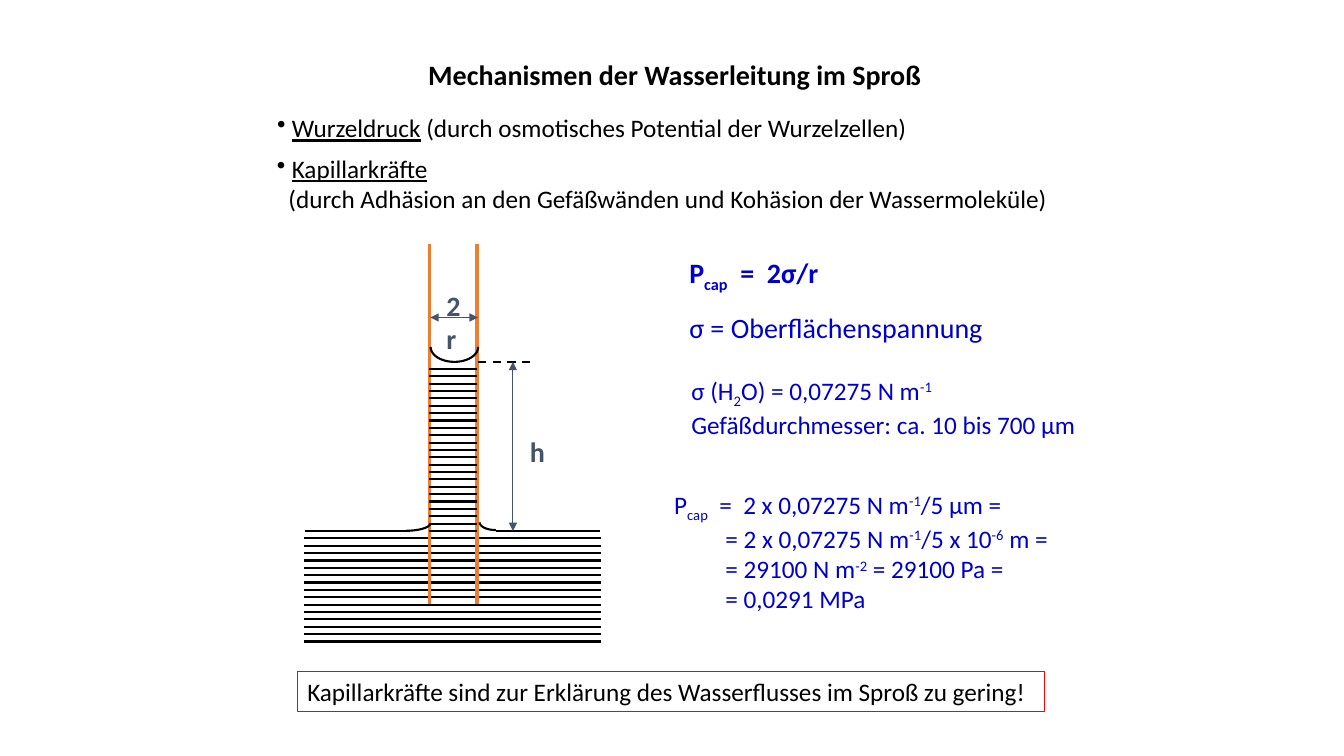
"""Build the slide on water transport in the shoot with its capillary diagram."""
from dataclasses import dataclass
from math import cos, radians, sin

from lxml.etree import SubElement
from pptx import Presentation
from pptx.dml.color import RGBColor as Rgb
from pptx.enum.dml import MSO_LINE_DASH_STYLE as Dash
from pptx.enum.shapes import MSO_CONNECTOR as Connector
from pptx.oxml.ns import qn
from pptx.util import Pt


@dataclass(frozen=True)
class Theme:
    """Colours, font and sizes of the slide."""
    ink: Rgb = Rgb(0, 0, 0)
    formula: Rgb = Rgb(0, 0, 0xCC)
    measure: Rgb = Rgb(0x44, 0x54, 0x6A)
    tube: Rgb = Rgb(0xED, 0x7D, 0x31)
    frame: Rgb = Rgb(0xFF, 0, 0)
    font: str = "Calibri"
    large: float = 20
    body: float = 18
    thin: float = 0.75
    medium: float = 1.5
    thick: float = 2.5


THEME = Theme()


@dataclass(frozen=True)
class Span:
    """A piece of text, with its baseline shift in percent."""
    text: str
    baseline: int = 0
    underline: bool = False


@dataclass(frozen=True)
class Para:
    """A paragraph and its layout."""
    spans: tuple[Span, ...]
    bold: bool = False
    bullet: bool = False
    indent: float = 0
    before: float = 0


@dataclass(frozen=True)
class TextBox:
    """A block of text at a place on the page."""
    left: float
    top: float
    width: float
    height: float
    paras: tuple[Para, ...]
    size: float = THEME.body
    color: Rgb = THEME.ink
    framed: bool = False


@dataclass(frozen=True)
class Stroke:
    """A straight line."""
    x1: float
    y1: float
    x2: float
    y2: float
    color: Rgb = THEME.ink
    width: float = THEME.medium
    arrows: bool = False
    dashed: bool = False


@dataclass(frozen=True)
class Arc:
    """Part of an ellipse, with angles in degrees clockwise from the right."""
    x: float
    y: float
    radius_x: float
    radius_y: float
    start: float
    end: float


def line(*spans: Span | str, **layout) -> Para:
    """Make a paragraph from plain and formatted pieces."""
    return Para(tuple(Span(s) if isinstance(s, str) else s for s in spans), **layout)


def draw_text(page, item: TextBox) -> None:
    """Add a text box to the page."""
    box = page.shapes.add_textbox(*map(Pt, (item.left, item.top, item.width, item.height)))
    if item.framed:
        box.line.color.rgb = THEME.frame
        box.line.width = Pt(THEME.thin)
    frame = box.text_frame
    frame.word_wrap = True
    for index, content in enumerate(item.paras):
        para = frame.add_paragraph() if index else frame.paragraphs[0]
        if content.indent:
            props = para._p.get_or_add_pPr()
            props.set("marL", str(Pt(content.indent)))
            props.set("indent", str(-Pt(content.indent) if content.bullet else 0))
        if content.before:
            para.space_before = Pt(content.before)
        if content.bullet:
            SubElement(para._p.get_or_add_pPr(), qn("a:buChar")).set("char", "•")
        font = para.font
        font.name, font.size, font.bold = THEME.font, Pt(item.size), content.bold
        font.color.rgb = item.color
        for span in content.spans:
            run = para.add_run()
            run.text = span.text
            if span.underline:
                run.font.underline = True
            if span.baseline:
                run._r.get_or_add_rPr().set("baseline", str(span.baseline * 1000))


def draw_stroke(page, item: Stroke) -> None:
    """Add a straight line to the page."""
    ends = map(Pt, (item.x1, item.y1, item.x2, item.y2))
    stroke = page.shapes.add_connector(Connector.STRAIGHT, *ends)
    stroke.line.color.rgb = item.color
    stroke.line.width = Pt(item.width)
    if item.dashed:
        stroke.line.dash_style = Dash.DASH
    if item.arrows:
        for tag in ("a:headEnd", "a:tailEnd"):
            SubElement(stroke.line._get_or_add_ln(), qn(tag)).set("type", "triangle")
    SubElement(stroke._element.spPr, qn("a:effectLst"))


def draw_arc(page, item: Arc, steps: int = 24) -> None:
    """Add an open elliptical curve to the page."""
    angles = [radians(item.start + (item.end - item.start) * i / steps) for i in range(steps + 1)]
    points = [(Pt(item.x + item.radius_x * cos(a)), Pt(item.y + item.radius_y * sin(a)))
              for a in angles]
    builder = page.shapes.build_freeform(*points[0])
    builder.add_line_segments(points[1:], close=False)
    curve = builder.convert_to_shape()
    curve.shadow.inherit = False
    curve.fill.background()
    curve.line.color.rgb = THEME.ink
    curve.line.width = Pt(THEME.medium)


TUBE_LEFT, TUBE_RIGHT, TUBE_TOP, TUBE_BOTTOM = 306.7, 340.6, 174.2, 431.3
BASIN_LEFT, BASIN_RIGHT = 217.4, 429.1
SURFACE, WATER_STEP, COLUMN_TOP = 379.3, 5.26, 258.5
BASIN_ROWS, TUBE_ROWS = 15, 23

STROKES = (
    *(Stroke(BASIN_LEFT, SURFACE + WATER_STEP * row, BASIN_RIGHT, SURFACE + WATER_STEP * row)
      for row in range(1, BASIN_ROWS + 1)),
    *(Stroke(x, TUBE_TOP, x, TUBE_BOTTOM, THEME.tube, THEME.thick)
      for x in (TUBE_LEFT, TUBE_RIGHT)),
    *(Stroke(TUBE_LEFT, SURFACE - WATER_STEP * row, TUBE_RIGHT, SURFACE - WATER_STEP * row)
      for row in range(TUBE_ROWS)),
    Stroke(BASIN_LEFT + 0.7, SURFACE, 293, SURFACE),
    Stroke(354.2, SURFACE, BASIN_RIGHT - 0.7, SURFACE),
    Stroke(307.4, 226.8, 341.3, 226.8, THEME.measure, THEME.thin, arrows=True),
    Stroke(341.3, COLUMN_TOP, 381.6, COLUMN_TOP, dashed=True),
    Stroke(366.4, COLUMN_TOP, 366.4, SURFACE, THEME.measure, THEME.thin, arrows=True),
)

ARCS = (
    Arc(290.2, 373.7, 17.2, 5.4, 90, 0),
    Arc(354.2, 373.2, 11.5, 5.4, 90, 180),
    Arc(324.6, 247.8, 17, 10.7, 0, 180),
)

CAP, MINUS_ONE = Span("cap", -25), Span("-1", 30)
BULLET_INDENT, SUM_INDENT, GAP = 10.6, 36.6, 12

TEXTS = (
    TextBox(298.8, 37.4, 370, 31.7,
            (line("Mechanismen der Wasserleitung im Sproß", bold=True),), THEME.large),
    TextBox(190.8, 77, 469.4, 28.8,
            (line(Span("Wurzeldruck", underline=True),
                  " (durch osmotisches Potential der Wurzelzellen)",
                  bullet=True, indent=BULLET_INDENT),)),
    TextBox(190.8, 105.8, 623.5, 51.1,
            (line(Span("Kapillarkräfte", underline=True), bullet=True, indent=BULLET_INDENT),
             line("(durch Adhäsion an den Gefäßwänden und Kohäsion der Wassermoleküle)",
                  indent=8.2))),
    TextBox(311.8, 202.3, 28.8, 55.4, (line("2r", bold=True),), THEME.large, THEME.measure),
    TextBox(371.5, 306.7, 28.8, 31.7, (line("h", bold=True),), THEME.large, THEME.measure),
    TextBox(485.3, 179.3, 232.6, 67.7,
            (line("P", CAP, "  =  2σ/r", bold=True),
             line("σ = Oberflächenspannung", before=GAP)), THEME.large, THEME.formula),
    TextBox(474.5, 345.6, 287.3, 94.3,
            (line("P", CAP, "  =  2 x 0,07275 N m", MINUS_ONE, "/5 µm ="),
             line("= 2 x 0,07275 N m", MINUS_ONE, "/5 x 10", Span("-6", 30), " m =",
                  indent=SUM_INDENT),
             line("= 29100 N m", Span("-2", 30), " = 29100 Pa =", indent=SUM_INDENT),
             line("= 0,0291 MPa", indent=SUM_INDENT)), color=THEME.formula),
    TextBox(486.7, 264.2, 292.3, 51.1,
            (line("σ (H", Span("2", -25), "O) = 0,07275 N m", MINUS_ONE),
             line("Gefäßdurchmesser: ca. 10 bis 700 µm")), color=THEME.formula),
    TextBox(212.4, 479.5, 533.5, 28.8,
            (line("Kapillarkräfte sind zur Erklärung des Wasserflusses im Sproß zu gering!"),),
            framed=True),
)


def main() -> None:
    """Draw the slide and save the deck."""
    deck = Presentation()
    deck.slide_width, deck.slide_height = Pt(960), Pt(540)
    page = deck.slides.add_slide(deck.slide_layouts[6])
    for draw, items in ((draw_stroke, STROKES), (draw_arc, ARCS), (draw_text, TEXTS)):
        for item in items:
            draw(page, item)
    deck.save("out.pptx")


if __name__ == "__main__":
    main()
